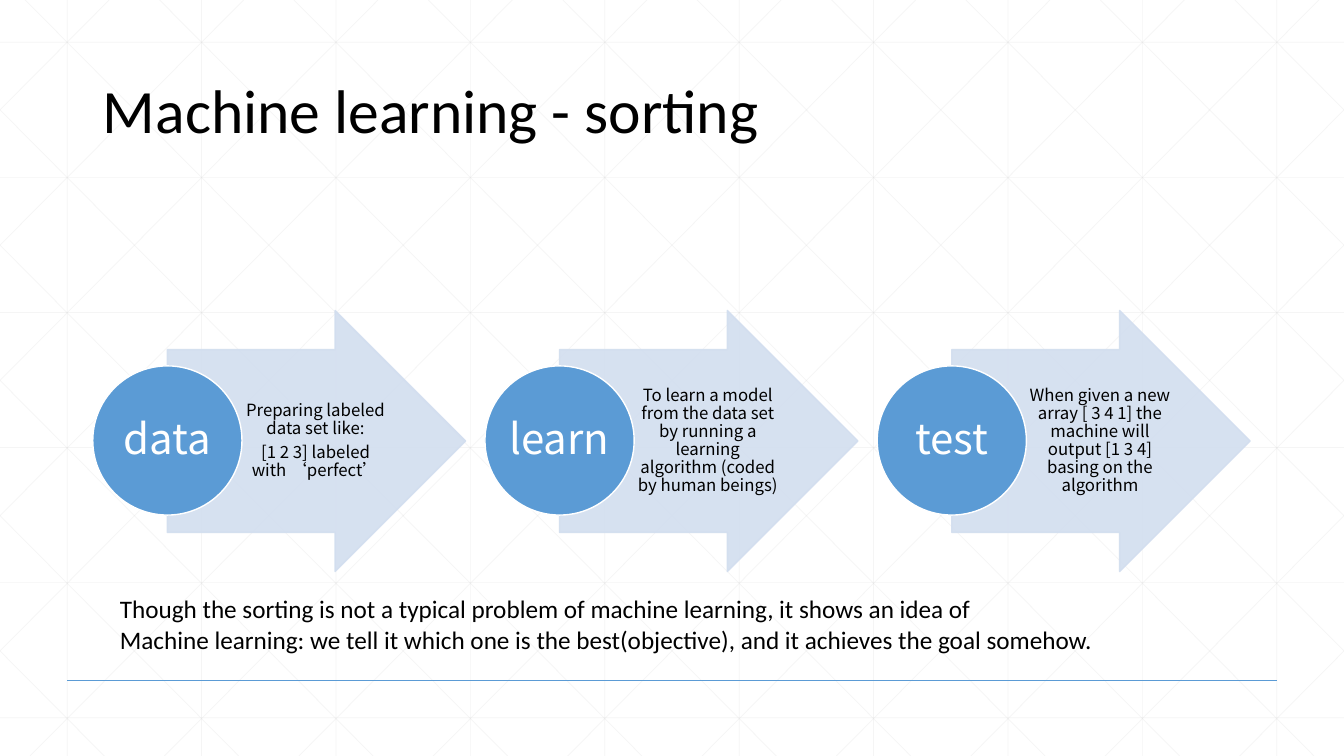
from lxml.etree import SubElement
from pptx import Presentation
from pptx.dml.color import RGBColor
from pptx.enum.shapes import MSO_CONNECTOR, MSO_SHAPE
from pptx.enum.text import MSO_ANCHOR, MSO_AUTO_SIZE, PP_ALIGN
from pptx.oxml.ns import qn
from pptx.util import Inches, Pt

BLACK = RGBColor(0x00, 0x00, 0x00)
WHITE = RGBColor(0xFF, 0xFF, 0xFF)
BLUE = RGBColor(0x5B, 0x9B, 0xD5)
PALE_BLUE = RGBColor(0xD2, 0xDE, 0xEF)
GRID_GREY = RGBColor(0xD9, 0xD9, 0xD9)

WIDTH, HEIGHT = 13.33, 7.5
COLUMN, ROW = WIDTH / 10, 1.34
DIAGONAL_SLOPE = 7.5 / 7.45

STEPS = [
    ("data", ["Preparing labeled data set like:", "[1 2 3] labeled with ‘perfect’"]),
    ("learn", ["To learn a model from the data set by running a learning algorithm (coded by human beings)"]),
    ("test", ["When given a new array [ 3 4 1] the machine will output [1 3 4] basing on the algorithm"]),
]
STEP_LEFT, STEP_PITCH = 0.92, 3.89
CLOSING = [
    "Though the sorting is not a typical problem of machine learning, it shows an idea of",
    "Machine learning: we tell it which one is the best(objective), and it achieves the goal somehow.",
]


def add_line(start_x, start_y, end_x, end_y, color, width, opacity=100):
    line = page.shapes.add_connector(
        MSO_CONNECTOR.STRAIGHT, Inches(start_x), Inches(start_y), Inches(end_x), Inches(end_y))
    line.line.color.rgb = color
    line.line.width = Pt(width)
    if opacity < 100:
        for tone in line._element.spPr.iter(qn("a:srgbClr")):
            SubElement(tone, qn("a:alpha"), val=str(opacity * 1000))
    SubElement(line._element.spPr, qn("a:effectLst"))


def write(frame, lines, font, size, color, align=PP_ALIGN.LEFT, spacing=1.0, after=0):
    for index, text in enumerate(lines):
        para = frame.paragraphs[0] if index == 0 else frame.add_paragraph()
        para.alignment = align
        para.line_spacing = spacing
        para.space_after = Pt(after)
        span = para.add_run()
        span.text = text
        span.font.name = font
        span.font.size = Pt(size)
        span.font.color.rgb = color


deck = Presentation()
deck.slide_width, deck.slide_height = Inches(WIDTH), Inches(HEIGHT)
page = deck.slides.add_slide(deck.slide_layouts[5])

for column in range(10):
    x = COLUMN * (column + 0.5)
    add_line(x, 0, x, HEIGHT, GRID_GREY, 0.5, 25)
for row in range(6):
    y = 0.42 + ROW * row
    add_line(0, y, WIDTH, y, GRID_GREY, 0.5, 25)
for step in range(-5, 10):
    top_x = 0.25 + COLUMN * step
    start_x = max(0, top_x)
    end_x = min(WIDTH, top_x + HEIGHT / DIAGONAL_SLOPE)
    start_y = (start_x - top_x) * DIAGONAL_SLOPE
    end_y = (end_x - top_x) * DIAGONAL_SLOPE
    add_line(start_x, start_y, end_x, end_y, GRID_GREY, 0.5, 25)
    add_line(WIDTH - start_x, start_y, WIDTH - end_x, end_y, GRID_GREY, 0.5, 25)
add_line(COLUMN / 2, 6.75, WIDTH - COLUMN / 2, 6.75, BLUE, 1)

title = page.shapes.title
page.shapes._spTree.append(title._element)
title.left, title.top, title.width, title.height = Inches(0.92), Inches(0.4), Inches(11.5), Inches(1.45)
title.text_frame.vertical_anchor = MSO_ANCHOR.MIDDLE
write(title.text_frame, ["Machine learning - sorting"], "Calibri", 44, BLACK, spacing=0.9)

for index, (label, details) in enumerate(STEPS):
    left = STEP_LEFT + STEP_PITCH * index

    arrow = page.shapes.add_shape(
        MSO_SHAPE.RIGHT_ARROW, Inches(left + 0.74), Inches(3.08), Inches(2.96), Inches(2.59))
    arrow.adjustments[0], arrow.adjustments[1] = 0.7, 0.5
    arrow.fill.solid()
    arrow.fill.fore_color.rgb = PALE_BLUE
    arrow.line.color.rgb = PALE_BLUE
    arrow.line.width = Pt(1)
    arrow.shadow.inherit = False
    for tone in arrow._element.spPr.iter(qn("a:srgbClr")):
        SubElement(tone, qn("a:alpha"), val="90000")

    box = page.shapes.add_textbox(Inches(left + 1.48), Inches(3.47), Inches(1.45), Inches(1.81))
    frame = box.text_frame
    frame.word_wrap = True
    frame.vertical_anchor = MSO_ANCHOR.MIDDLE
    frame.margin_left, frame.margin_right = Inches(0.03), Inches(0.02)
    frame.margin_top = frame.margin_bottom = Inches(0.01)
    write(frame, details, "Noto Sans CJK SC", 12, BLACK, PP_ALIGN.CENTER, 0.9, 4.2)

    circle = page.shapes.add_shape(
        MSO_SHAPE.OVAL, Inches(left), Inches(3.63), Inches(1.48), Inches(1.48))
    circle.fill.solid()
    circle.fill.fore_color.rgb = BLUE
    circle.line.color.rgb = WHITE
    circle.line.width = Pt(1)
    circle.shadow.inherit = False
    frame = circle.text_frame
    frame.word_wrap = True
    frame.vertical_anchor = MSO_ANCHOR.MIDDLE
    frame.margin_left = frame.margin_right = Inches(0.02)
    frame.margin_top = frame.margin_bottom = Inches(0.02)
    write(frame, [label], "Noto Sans CJK SC", 30, WHITE, PP_ALIGN.CENTER, 0.9, 10.5)

closing = page.shapes.add_textbox(Inches(0.59), Inches(5.84), Inches(10.38), Inches(0.71))
closing.text_frame.word_wrap = False
closing.text_frame.auto_size = MSO_AUTO_SIZE.SHAPE_TO_FIT_TEXT
write(closing.text_frame, CLOSING, "Calibri", 18, BLACK)
for para in closing.text_frame.paragraphs:
    para.level = 1
    para._p.get_or_add_pPr().set("marL", str(Inches(0.5)))

deck.save("out.pptx")
